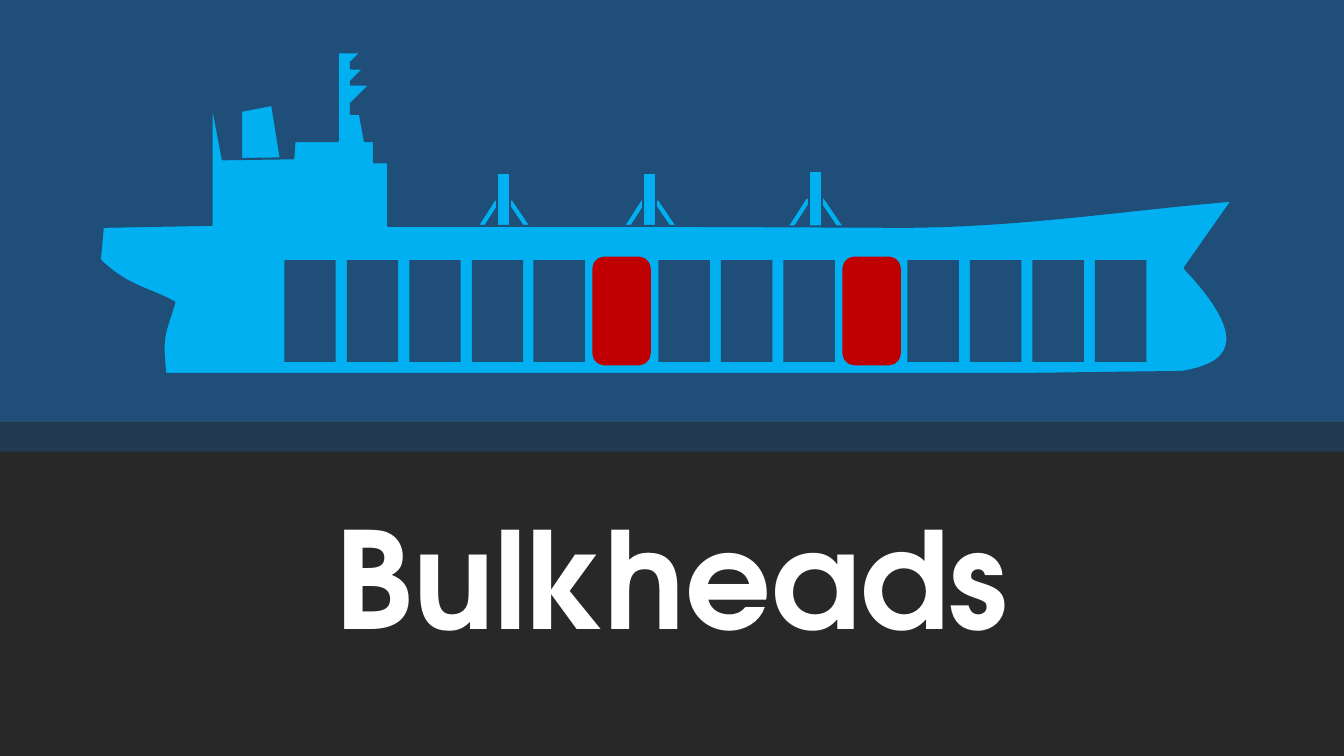
from lxml.etree import SubElement
from pptx import Presentation
from pptx.dml.color import RGBColor
from pptx.enum.shapes import MSO_CONNECTOR, MSO_SHAPE
from pptx.enum.text import MSO_ANCHOR, MSO_AUTO_SIZE, PP_ALIGN
from pptx.oxml.ns import qn
from pptx.util import Pt

PX = 9144
WIDE, HIGH = 1333, 750
HUES = {
    "sea": "1F4E79",
    "ship": "00B0F0",
    "red": "C00000",
    "panel": "282828",
    "band": "233B50",
    "white": "FFFFFF",
    "black": "000000",
}


def hue(name):
    return RGBColor.from_string(HUES[name])


def curve(start, one, two, end, steps=24):
    points = []
    for i in range(1, steps + 1):
        t = i / steps
        u = 1 - t
        points.append(tuple(
            u**3 * a + 3 * u * u * t * b + 3 * u * t * t * c + t**3 * d
            for a, b, c, d in zip(start, one, two, end)
        ))
    return points


class Board:
    font = "TeX Gyre Adventor"

    def __init__(self, deck):
        self.slide = deck.slides.add_slide(deck.slide_layouts[5])
        self.shapes = self.slide.shapes
        back = self.slide.background.fill
        back.solid()
        back.fore_color.rgb = hue("sea")

    def paint(self, shape, fill, line, width):
        shape.shadow.inherit = False
        shape.fill.solid()
        shape.fill.fore_color.rgb = hue(fill)
        if line:
            shape.line.color.rgb = hue(line)
            shape.line.width = Pt(width)
        else:
            shape.line.fill.background()

    def box(self, x, y, w, h, fill, line=None, width=1.5, kind=MSO_SHAPE.RECTANGLE):
        shape = self.shapes.add_shape(kind, x * PX, y * PX, w * PX, h * PX)
        self.paint(shape, fill, line, width)

    def line(self, x1, y1, x2, y2, color, width):
        rule = self.shapes.add_connector(
            MSO_CONNECTOR.STRAIGHT, x1 * PX, y1 * PX, x2 * PX, y2 * PX)
        rule.line.color.rgb = hue(color)
        rule.line.width = Pt(width)
        SubElement(rule._element.spPr, qn("a:effectLst"))

    def form(self, points, fill, line, width=1.5):
        dots = [(round(x * PX), round(y * PX)) for x, y in points]
        pen = self.shapes.build_freeform(*dots[0], scale=1.0)
        pen.add_line_segments(dots[1:], close=True)
        self.paint(pen.convert_to_shape(), fill, line, width)

    def mast(self, x, y):
        self.line(x + 13, y + 28, x + 32, y + 56, "ship", 3)
        self.line(x, y + 28, x - 18, y + 56, "ship", 3)
        self.box(x, y, 13, 56, "ship", "sea")

    def text(self, frame, words, size, color, bold=False, align=PP_ALIGN.CENTER):
        frame.word_wrap = True
        frame.auto_size = MSO_AUTO_SIZE.NONE
        frame.vertical_anchor = MSO_ANCHOR.TOP
        para = frame.paragraphs[0]
        para.alignment = align
        para.line_spacing = 1.0
        run = para.add_run()
        run.text = words
        run.font.name = self.font
        run.font.size = Pt(size)
        run.font.bold = bold
        run.font.color.rgb = hue(color)
        return run

    def title(self, words, x, y, w, h):
        shape = self.shapes.title
        shape.left, shape.top = x * PX, y * PX
        shape.width, shape.height = w * PX, h * PX
        run = self.text(shape.text_frame, words, size=96, color="white", bold=True)
        glow = run.font._element
        list_ = glow.makeelement(qn("a:effectLst"))
        glow.find(qn("a:solidFill")).addnext(list_)
        shade = SubElement(list_, qn("a:outerShdw"), dist="88900", dir="2700000", algn="tl")
        SubElement(shade, qn("a:srgbClr"), val=HUES["black"])
        self.shapes._spTree.append(shape._element)


def main():
    deck = Presentation()
    deck.slide_width, deck.slide_height = WIDE * PX, HIGH * PX
    board = Board(deck)

    for x, y in [(802, 170), (638, 172), (493, 172)]:
        board.mast(x, y)

    board.form([(239, 110), (270, 104), (279, 160), (239, 160)], "ship", "sea")
    hull = [
        (343, 52), (358, 52), (348, 62), (348, 68), (361, 68), (348, 81),
        (348, 84), (367, 84), (348, 103), (348, 113), (357, 113), (362, 140),
        (371, 140), (371, 161), (385, 161), (385, 224), (663, 224), (899, 225),
        *curve((899, 225), (1017, 224), (1114, 208), (1222, 199)),
        (1175, 266),
        *curve((1175, 266), (1251, 346), (1209, 363), (1172, 369)),
        (1014, 371), (663, 371), (164, 371),
        *curve((164, 371), (160, 332), (163, 333), (173, 300)),
        *curve((173, 300), (148, 286), (127, 285), (99, 258)),
        (102, 225), (210, 223), (210, 100), (221, 158), (291, 157),
        (292, 140), (335, 140), (335, 52),
    ]
    board.form(hull, "ship", "sea")

    holds = [round(282 + i * 804 / 13) for i in range(14)]
    for x in holds:
        board.box(x, 258, 51, 101, "sea")
    for i in (5, 9):
        board.box(holds[i], 258, 51, 101, "red", "red", 5, MSO_SHAPE.ROUNDED_RECTANGLE)

    board.box(0, 419, WIDE, 331, "panel")
    board.title("Bulkheads", 0, 486, WIDE, 172)
    board.box(0, 419, WIDE, 29, "band")
    deck.save("out.pptx")


if __name__ == "__main__":
    main()
